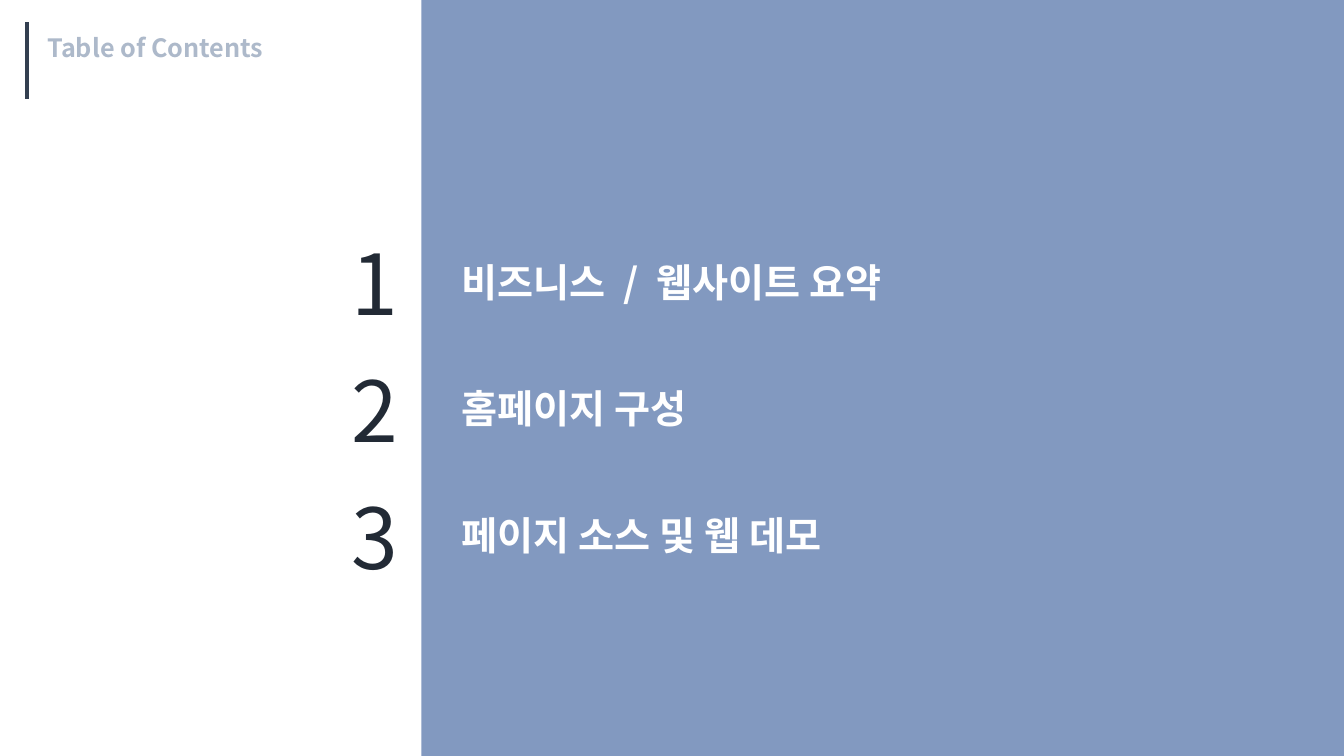
from lxml import etree
from pptx import Presentation
from pptx.dml.color import RGBColor
from pptx.enum.shapes import MSO_CONNECTOR, MSO_SHAPE
from pptx.oxml.ns import qn
from pptx.util import Inches, Pt

WIDTH, HEIGHT = 13.33, 7.5
PANEL_LEFT = 4.18
FONT = "Noto Sans CJK KR"
TITLE = {"size": Pt(18), "bold": True}
NUMBER = {"size": Pt(60), "bold": False}
TOPIC = {"size": Pt(28), "bold": True}
# Each topic is a list of (text, letter spacing in points).
TOPICS = [
    [("비즈니스", 0), (" /", 6.3), (" 웹사이트 요약", 0)],
    [("홈페이지 구성", 0)],
    [("페이지 소스 및 웹 데모", 0)],
]


def color(value):
    return RGBColor.from_string(value)


def add_text(slide, box, pieces, style, fill):
    """Add a one-line text box from (text, letter spacing) pieces."""
    frame = slide.shapes.add_textbox(*map(Inches, box)).text_frame
    frame.word_wrap = True
    for text, spacing in pieces:
        run = frame.paragraphs[0].add_run()
        run.text = text
        for name, value in {"name": FONT, **style}.items():
            setattr(run.font, name, value)
        run.font.color.rgb = color(fill)
        properties = run.font._element
        etree.SubElement(properties, qn("a:ea"), typeface=FONT)
        if spacing:
            properties.set("spc", str(round(spacing * 100)))


def add_panel(slide, left, top, width, height):
    panel = slide.shapes.add_shape(
        MSO_SHAPE.RECTANGLE, *map(Inches, (left, top, width, height)))
    panel.shadow.inherit = False
    panel.fill.solid()
    panel.fill.fore_color.rgb = color("2F5597")
    panel.line.fill.background()
    tint = panel._element.spPr.find(qn("a:solidFill"))[0]
    etree.SubElement(tint, qn("a:alpha"), val="60000")


def add_heading(slide, left, top, width, height):
    bar = slide.shapes.add_connector(
        MSO_CONNECTOR.STRAIGHT, *map(Inches, (left, top, left, top + 0.76)))
    bar.line.color.rgb = color("333F50")
    bar.line.width = Pt(3)
    etree.SubElement(bar._element.spPr, qn("a:effectLst"))
    add_text(slide, (left + 0.1, top + 0.05, width - 0.1, height - 0.05),
             [("Table of Contents", 0)], TITLE, "ADB9CA")


def add_contents(slide, left, top, width, height):
    """Stack numbered topics, with numbers left of the panel edge."""
    row_height = height / len(TOPICS)
    topic_left = PANEL_LEFT + 0.3
    for index, topic in enumerate(TOPICS):
        row_top = top + index * row_height
        add_text(slide, (left, row_top, 0.67, 1.11),
                 [(str(index + 1), 0)], NUMBER, "222A35")
        add_text(slide, (topic_left, row_top + 0.26, left + width - topic_left, 0.57),
                 topic, TOPIC, "FFFFFF")


def main():
    presentation = Presentation()
    presentation.slide_width = Inches(WIDTH)
    presentation.slide_height = Inches(HEIGHT)
    slide = presentation.slides.add_slide(presentation.slide_layouts[6])
    add_panel(slide, PANEL_LEFT, 0, WIDTH - PANEL_LEFT, HEIGHT)
    add_heading(slide, 0.27, 0.22, 2.89, 0.93)
    add_contents(slide, 3.39, 2.25, 5.84, 3.77)
    presentation.save("out.pptx")


if __name__ == "__main__":
    main()
